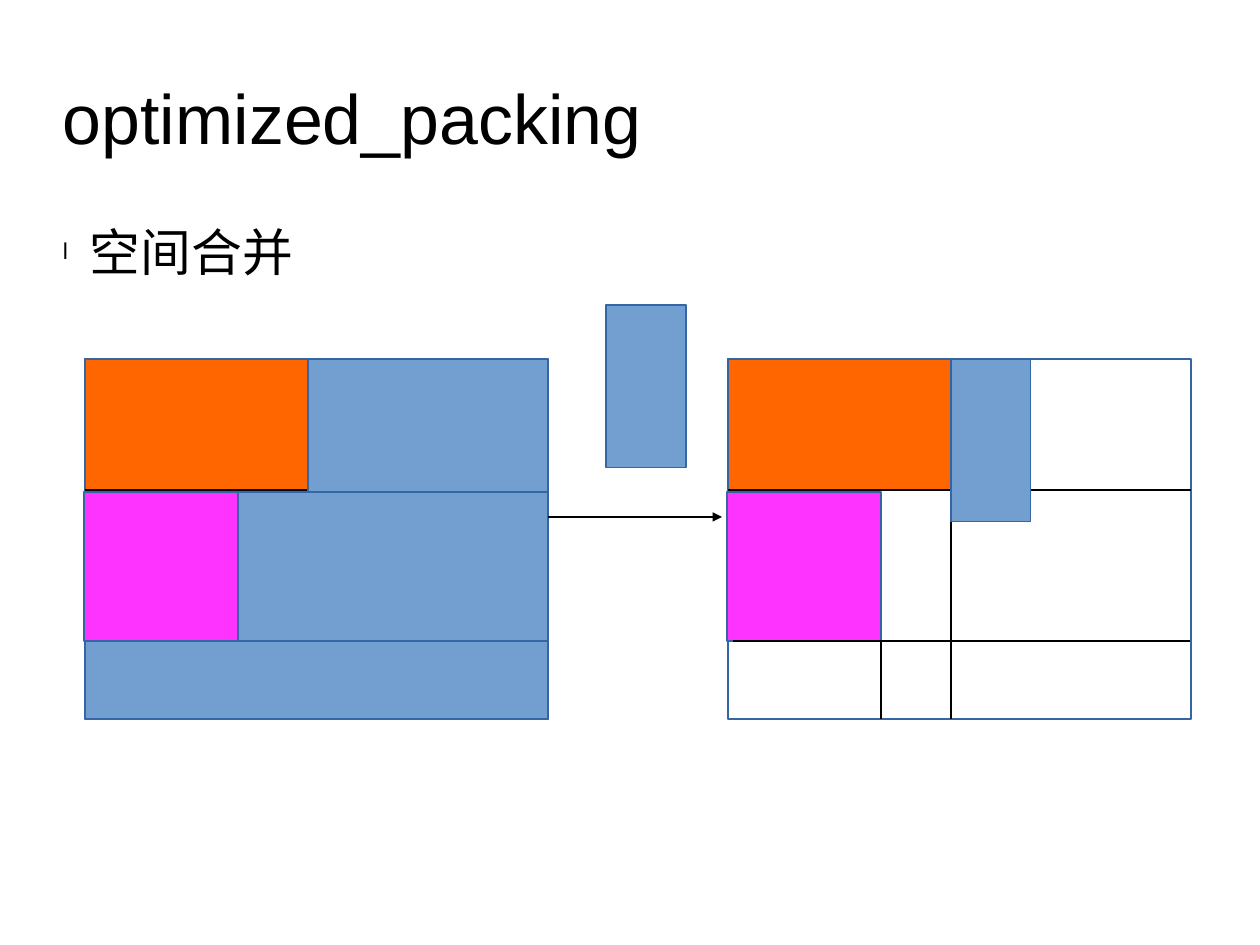
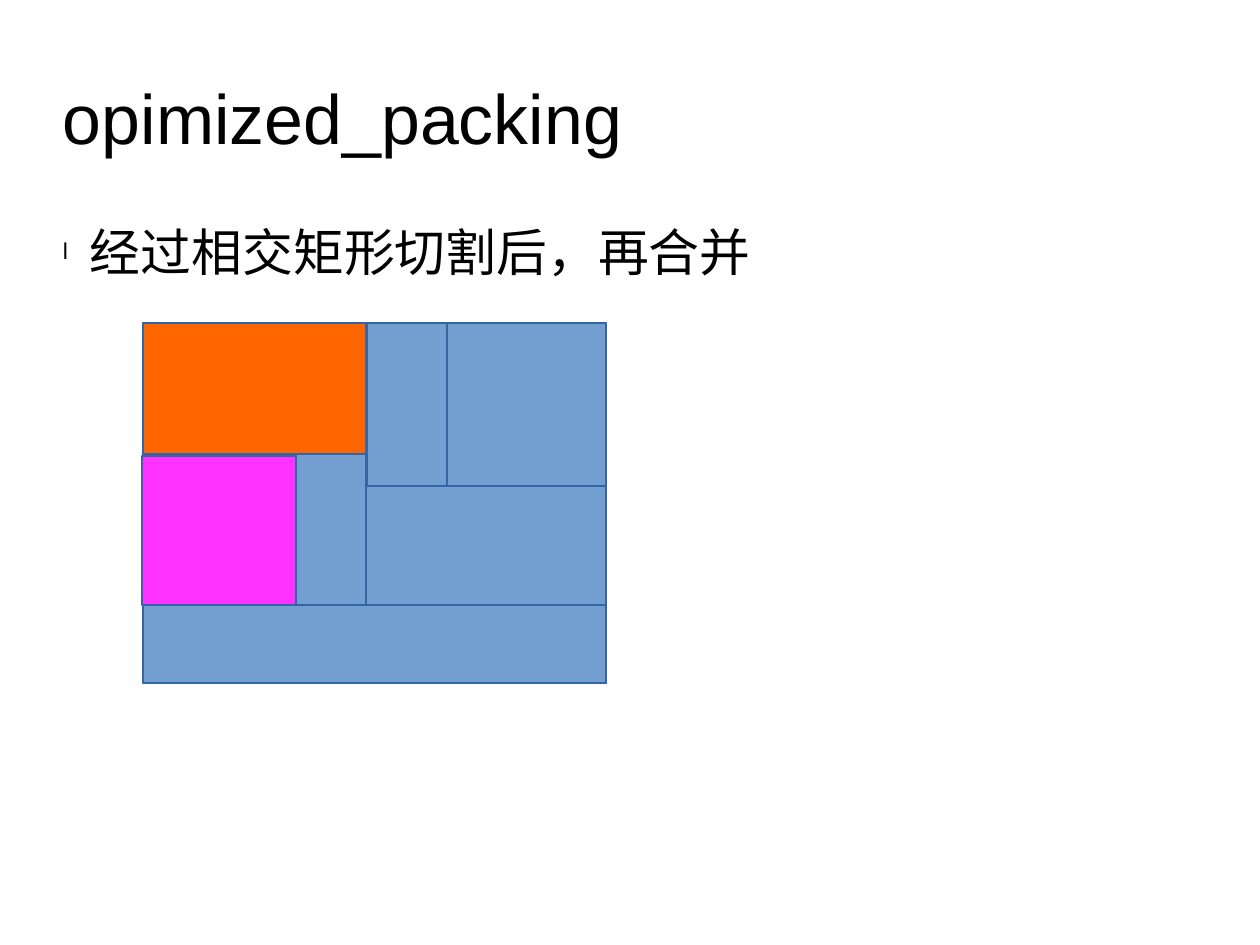
from pptx import Presentation
from pptx.dml.color import RGBColor
from pptx.enum.lang import MSO_LANGUAGE_ID as Lang
from pptx.enum.shapes import MSO_CONNECTOR as Conn, MSO_SHAPE as Shape
from pptx.enum.text import MSO_ANCHOR as Anchor
from pptx.oxml.ns import qn
from pptx.util import Emu, Pt
from lxml.etree import SubElement

BLACK, WHITE, EDGE = "000000", "FFFFFF", "3465A4"
FREE, ORANGE, PINK = "729FCF", "FF6600", "FF33FF"
BIN_W, BIN_H = 463, 360
PIECE_W, PIECE_H = 80, 163
ORANGE_W, ORANGE_H = 223, 131
PINK_Y, PINK_W, PINK_H = 133, 154, 149
SPLIT_X, STRIP_Y = PINK_W - 1, PINK_Y + PINK_H
STRIP = (0, STRIP_Y, BIN_W, BIN_H - STRIP_Y)
ROW_CUT = (0, ORANGE_H, BIN_W, ORANGE_H)


def px(n):
    return Emu(n * 8000)


def rgb(value):
    return RGBColor.from_string(value)


def apply(target, values):
    for name, value in values.items():
        setattr(target, name, value)


class Deck:
    """Slide style and the slide being drawn."""

    FRAME = dict(margin_left=0, margin_right=0, margin_top=0,
                 margin_bottom=0, word_wrap=True)
    TITLE = dict(name="Arial", size=Pt(44))
    BODY = dict(name="Arial", size=Pt(32),
                language_id=Lang.SIMPLIFIED_CHINESE)

    def __init__(self):
        self.prs = Presentation()
        apply(self.prs, dict(slide_width=px(1260), slide_height=px(945)))

    def slide(self, title, point):
        self.s = self.prs.slides.add_slide(self.prs.slide_layouts[6])
        self.text(title, 38, 158, self.TITLE, Anchor.MIDDLE)
        self.bullet(self.text(point, 221, 548, self.BODY, Anchor.TOP))

    def text(self, text, y, h, font, anchor):
        tf = self.s.shapes.add_textbox(px(63), px(y), px(1134), px(h)).text_frame
        apply(tf, dict(self.FRAME, vertical_anchor=anchor))
        p = tf.paragraphs[0]
        r = p.add_run()
        r.text = text
        apply(r.font, font)
        r.font.color.rgb = rgb(BLACK)
        return p

    def bullet(self, p):
        pPr = p._p.get_or_add_pPr()
        pPr.set("marL", str(px(27)))
        pPr.set("indent", str(px(-27)))
        for tag, key, value in (("buSzPct", "val", "45000"),
                                ("buFont", "typeface", "Arial"),
                                ("buChar", "char", "l")):
            SubElement(pPr, qn(f"a:{tag}")).set(key, value)

    def box(self, x, y, w, h, fill):
        sp = self.s.shapes.add_shape(Shape.RECTANGLE, px(x), px(y), px(w), px(h))
        sp.shadow.inherit = False
        sp.fill.solid()
        sp.fill.fore_color.rgb = rgb(fill)
        sp.line.color.rgb = rgb(EDGE)
        sp.line.width = Pt(0.75)

    def line(self, x1, y1, x2, y2, arrow=False):
        c = self.s.shapes.add_connector(Conn.STRAIGHT, px(x1), px(y1), px(x2), px(y2))
        c.line.color.rgb = rgb(BLACK)
        c.line.width = Pt(0.75)
        spPr = c._element.spPr
        if arrow:
            SubElement(spPr.get_or_add_ln(), qn("a:tailEnd")).set("type", "triangle")
        SubElement(spPr, qn("a:effectLst"))

    def packing(self, x, y, cuts, spaces):
        self.box(x, y, BIN_W, BIN_H, WHITE)
        self.box(x, y, ORANGE_W, ORANGE_H, ORANGE)
        self.box(x - 1, y + PINK_Y, PINK_W, PINK_H, PINK)
        common = [(5, STRIP_Y, BIN_W - 1, STRIP_Y),
                  (ORANGE_W, ORANGE_H, ORANGE_W, BIN_H),
                  (SPLIT_X, STRIP_Y, SPLIT_X, BIN_H)]
        for x1, y1, x2, y2 in common + cuts:
            self.line(x + x1, y + y1, x + x2, y + y2)
        for dx, dy, w, h in spaces:
            self.box(x + dx, y + dy, w, h, FREE)


def main():
    deck = Deck()

    deck.slide("optimized_packing", "空间合并")
    deck.packing(85, 359, [ROW_CUT], [
        (ORANGE_W, 0, BIN_W - ORANGE_W, BIN_H),
        (SPLIT_X, PINK_Y, BIN_W - SPLIT_X, BIN_H - PINK_Y),
        STRIP])
    deck.line(548, 517, 722, 517, arrow=True)
    deck.box(606, 305, PIECE_W, PIECE_H, FREE)
    deck.packing(728, 359, [ROW_CUT], [(ORANGE_W, 0, PIECE_W, PIECE_H)])

    deck.slide("opimized_packing", "经过相交矩形切割后，再合并")
    piece_x = ORANGE_W + 1
    right = piece_x + PIECE_W
    cuts = [(SPLIT_X, PIECE_H, BIN_W, PIECE_H),
            (right, PIECE_H, right - 1, BIN_H),
            (right, ORANGE_H, BIN_W, ORANGE_H)]
    deck.packing(143, 323, cuts, [
        (piece_x, 0, PIECE_W, PIECE_H),
        (right, 0, BIN_W - right, BIN_H),
        (SPLIT_X, PIECE_H, BIN_W - SPLIT_X, BIN_H - PIECE_H),
        (SPLIT_X, ORANGE_H, ORANGE_W - SPLIT_X, BIN_H - ORANGE_H),
        STRIP])

    deck.prs.save("out.pptx")


if __name__ == "__main__":
    main()
